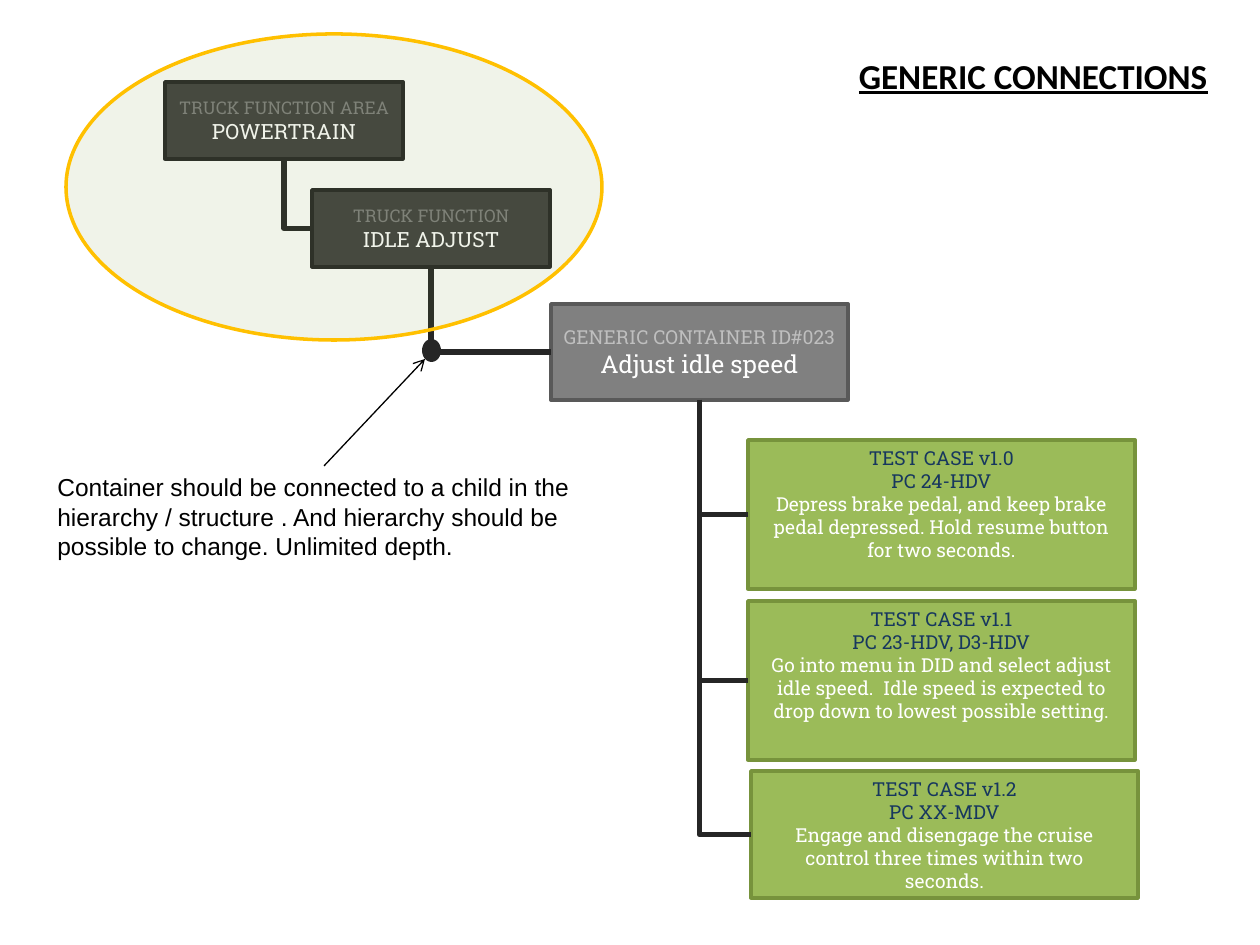
import dataclasses
import typing

import lxml.etree
import pptx
import pptx.dml.color
import pptx.enum.shapes
import pptx.enum.text
import pptx.oxml.ns
import pptx.util

SCALE = 914400 / 126
SLAB = "Roboto Slab"
DARK, WHITE, NAVY = "262626", "FFFFFF", "17375E"
KIND = pptx.enum.shapes.MSO_SHAPE
LINK = pptx.enum.shapes.MSO_CONNECTOR
ALIGN = pptx.enum.text.PP_ALIGN
ANCHOR = pptx.enum.text.MSO_ANCHOR
qn = pptx.oxml.ns.qn


@dataclasses.dataclass(frozen=True)
class Style:
    """Look of one family of boxes."""
    fill: str
    edge: str
    tints: tuple[str, ...]
    sizes: tuple[int, ...]
    anchor: typing.Any = ANCHOR.MIDDLE


@dataclasses.dataclass(frozen=True)
class Box:
    """A labelled box, in pixels."""
    left: int
    top: int
    width: int
    height: int
    style: Style
    lines: tuple[str, ...]


TRUCK = Style("404040", DARK, ("808080", WHITE), (10, 12))
HOLDER = Style("808080", "595959", ("BFBFBF", WHITE), (11, 14))
TEST = Style("9BBB59", "77933C", (NAVY, NAVY, WHITE), (11, 11, 11), ANCHOR.TOP)

area = Box(165, 82, 238, 77, TRUCK, ("TRUCK FUNCTION AREA", "POWERTRAIN"))
task = Box(312, 190, 238, 77, TRUCK, ("TRUCK FUNCTION", "IDLE ADJUST"))
holder = Box(551, 304, 297, 96, HOLDER,
             ("GENERIC CONTAINER ID#023", "Adjust idle speed"))
tests = [
    Box(748, 440, 387, 149, TEST, (
        "TEST CASE v1.0", "PC 24-HDV",
        "Depress brake pedal, and keep brake pedal depressed. "
        "Hold resume button for two seconds.")),
    Box(748, 601, 387, 159, TEST, (
        "TEST CASE v1.1", "PC 23-HDV, D3-HDV",
        "Go into menu in DID and select adjust idle speed.  "
        "Idle speed is expected to drop down to lowest possible setting.")),
    Box(751, 771, 387, 127, TEST, (
        "TEST CASE v1.2", "PC XX-MDV",
        "Engage and disengage the cruise control three times "
        "within two seconds.")),
]


def px(*nums: float) -> list[pptx.util.Emu]:
    """Turn pixels into EMU."""
    return [pptx.util.Emu(round(num * SCALE)) for num in nums]


def tint(code: str) -> pptx.dml.color.RGBColor:
    """Turn a hex string into a colour."""
    return pptx.dml.color.RGBColor.from_string(code)


def write(frame, lines, *, fonts=SLAB, sizes, tints, align=ALIGN.CENTER,
          anchor=ANCHOR.TOP, bold=False, under=False) -> None:
    """Fill a text frame, one paragraph to a line."""
    frame.word_wrap = True
    frame.vertical_anchor = anchor
    for num, (line, size, code) in enumerate(zip(lines, sizes, tints)):
        para = frame.add_paragraph() if num else frame.paragraphs[0]
        para.alignment = align
        run = para.add_run()
        run.text = line
        font = run.font
        font.name, font.size = fonts, pptx.util.Pt(size)
        font.bold, font.underline = bold, under
        font.color.rgb = tint(code)


def form(slide, kind, spot, fill: str, edge: str | None = None,
         alpha: int = 100):
    """Add a flat shape with an optional 2 pt edge."""
    shape = slide.shapes.add_shape(kind, *px(*spot))
    shape.shadow.inherit = False
    shape.fill.solid()
    shape.fill.fore_color.rgb = tint(fill)
    if alpha < 100:
        code = shape._element.spPr.find(".//" + qn("a:srgbClr"))
        lxml.etree.SubElement(code, qn("a:alpha"), val=str(alpha * 1000))
    if edge:
        shape.line.color.rgb = tint(edge)
        shape.line.width = pptx.util.Pt(2)
    else:
        shape.line.fill.background()
    return shape


def card(slide, box: Box) -> None:
    """Draw a labelled box."""
    look = box.style
    shape = form(slide, KIND.RECTANGLE,
                 (box.left, box.top, box.width, box.height),
                 look.fill, look.edge)
    write(shape.text_frame, box.lines, sizes=look.sizes, tints=look.tints,
          anchor=look.anchor)


def wire(slide, kind, ends, code: str, width: float):
    """Add a connector without shadow."""
    link = slide.shapes.add_connector(kind, *px(*ends))
    link.line.color.rgb = tint(code)
    link.line.width = pptx.util.Pt(width)
    lxml.etree.SubElement(link._element.spPr, qn("a:effectLst"))
    return link


def bend(slide, head: Box, child: Box) -> None:
    """Join the foot of one box to the left side of another."""
    left, top = head.left + head.width / 2, head.top + head.height
    right, foot = child.left, child.top + child.height / 2
    midx, midy = (left + right) / 2, (top + foot) / 2
    wide, high = (foot - top) / 2, (right - left) / 2
    link = wire(slide, LINK.ELBOW,
                (midx - wide, midy - high, midx + wide, midy + high), DARK, 3)
    props = link._element.spPr
    props.find(qn("a:prstGeom")).set("prst", "bentConnector2")
    frame = props.find(qn("a:xfrm"))
    frame.set("rot", str(270 * 60000))
    frame.set("flipH", "1")


def label(slide, spot, text: str, **look) -> None:
    """Add a text box that grows with its text."""
    frame = slide.shapes.add_textbox(*px(*spot)).text_frame
    write(frame, [text], tints=["000000"], **look)
    frame.auto_size = pptx.enum.text.MSO_AUTO_SIZE.SHAPE_TO_FIT_TEXT


def main() -> None:
    """Build and save the slide."""
    deck = pptx.Presentation()
    deck.slide_width, deck.slide_height = px(1260, 945)
    slide = deck.slides.add_slide(deck.slide_layouts[6])

    card(slide, holder)
    card(slide, area)
    bend(slide, area, task)
    bend(slide, task, holder)
    for test in tests:
        card(slide, test)
    for test in tests:
        bend(slide, holder, test)
    card(slide, task)
    form(slide, KIND.OVAL, (422, 339, 19, 23), DARK)
    form(slide, KIND.OVAL, (66, 34, 536, 306), "77933C", "FFC000", 11)

    label(slide, (45, 466, 557, 102),
          "Container should be connected to a child in the hierarchy / "
          "structure . And hierarchy should be possible to change. "
          "Unlimited depth.",
          fonts="Arial", sizes=[14], align=ALIGN.LEFT)
    arrow = wire(slide, LINK.STRAIGHT, (324, 466, 425, 359), "000000", 0.75)
    lxml.etree.SubElement(arrow.line._get_or_add_ln(), qn("a:tailEnd"),
                          type="arrow")
    label(slide, (799, 48, 421, 55), "GENERIC CONNECTIONS", fonts="Calibri",
          sizes=[20], align=ALIGN.RIGHT, bold=True, under=True)
    deck.save("out.pptx")


main()
